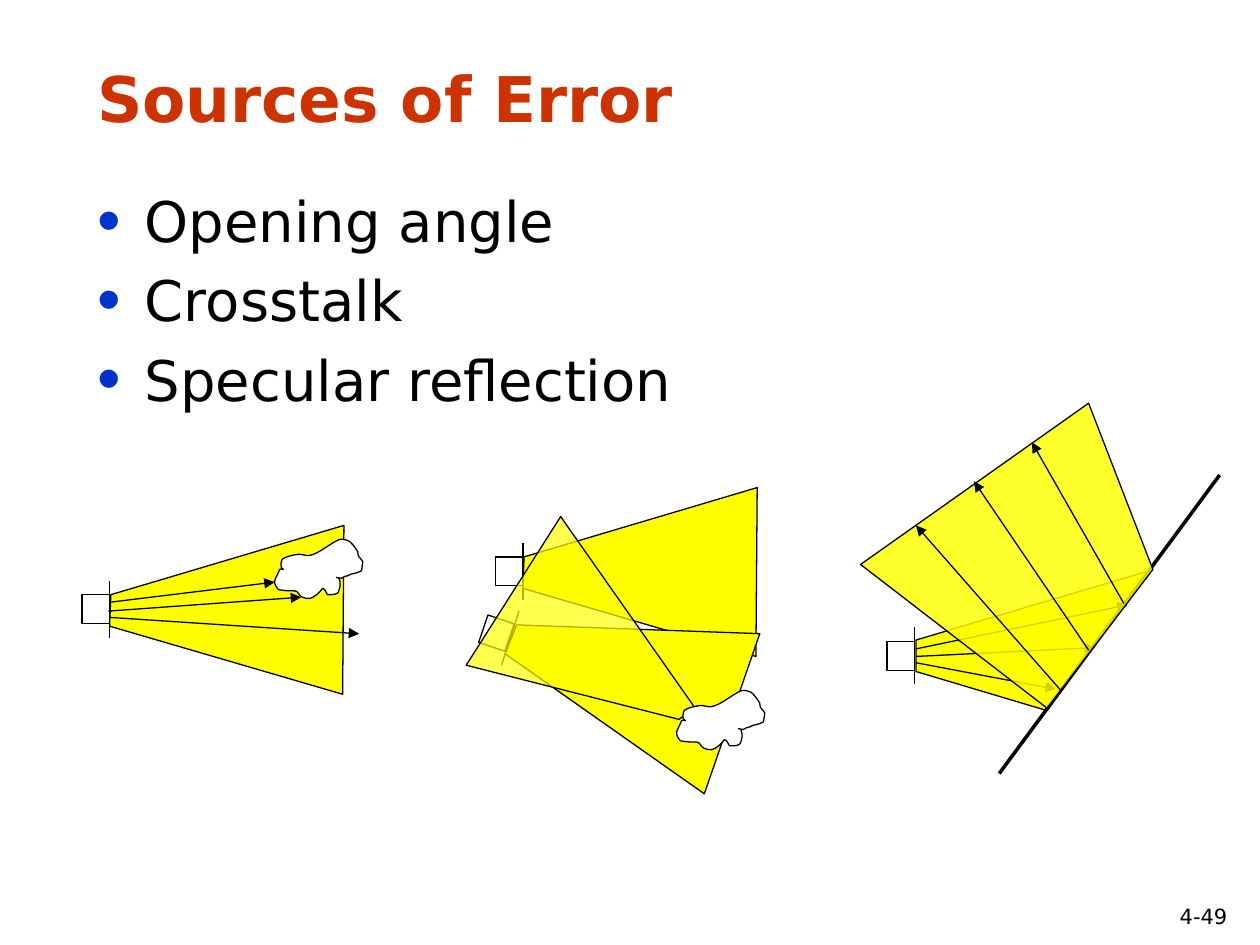
"""Builds the slide on the sources of error of a ranging sensor."""
from dataclasses import dataclass

from lxml.etree import SubElement
from pptx import Presentation
from pptx.dml.color import RGBColor
from pptx.enum.shapes import MSO_CONNECTOR as Connector, MSO_SHAPE as Shape
from pptx.enum.text import MSO_ANCHOR as Anchor, MSO_AUTO_SIZE as AutoSize, PP_ALIGN as Align
from pptx.oxml.ns import qn
from pptx.slide import Slide
from pptx.util import Inches, Pt

BLACK = RGBColor(0x00, 0x00, 0x00)
WHITE = RGBColor(0xFF, 0xFF, 0xFF)
RED = RGBColor(0xCC, 0x33, 0x00)
BLUE = RGBColor(0x00, 0x33, 0xCC)
YELLOW = RGBColor(0xFF, 0xFF, 0x00)

CONE = [(0.23, 0), (2.08, -0.55), (2.07, 0.79), (0.22, 0.25)]
CLOUD_START = (2.25, 4.52)
CLOUD_CURVES = [
    (2.22, 4.51, 2.23, 4.46, 2.24, 4.44), (2.26, 4.42, 2.34, 4.4, 2.38, 4.4),
    (2.4, 4.4, 2.42, 4.41, 2.45, 4.41), (2.53, 4.4, 2.62, 4.31, 2.7, 4.28),
    (2.72, 4.28, 2.74, 4.28, 2.76, 4.29), (2.78, 4.29, 2.83, 4.36, 2.84, 4.38),
    (2.84, 4.43, 2.86, 4.42, 2.88, 4.46), (2.87, 4.48, 2.88, 4.51, 2.87, 4.53),
    (2.86, 4.54, 2.84, 4.54, 2.82, 4.55), (2.8, 4.55, 2.78, 4.56, 2.76, 4.57),
    (2.74, 4.57, 2.73, 4.58, 2.71, 4.59), (2.64, 4.58, 2.68, 4.58, 2.69, 4.59),
    (2.7, 4.6, 2.7, 4.61, 2.7, 4.62), (2.7, 4.64, 2.7, 4.67, 2.69, 4.69),
    (2.69, 4.72, 2.63, 4.72, 2.63, 4.72), (2.62, 4.72, 2.61, 4.72, 2.6, 4.72),
    (2.58, 4.7, 2.59, 4.68, 2.56, 4.67), (2.54, 4.7, 2.5, 4.74, 2.46, 4.75),
    (2.44, 4.75, 2.42, 4.75, 2.4, 4.74), (2.37, 4.73, 2.37, 4.69, 2.34, 4.69),
    (2.3, 4.69, 2.26, 4.69, 2.21, 4.68), (2.19, 4.66, 2.18, 4.64, 2.18, 4.61),
    (2.19, 4.58, 2.21, 4.55, 2.22, 4.52), (2.23, 4.51, 2.24, 4.52, 2.25, 4.52),
]


def write(paragraph, text, *, font, size, color=BLACK, bold=False, align=Align.LEFT,
          spacing=1.0, before=0):
    """Put formatted text into a paragraph."""
    paragraph.alignment = align
    paragraph.line_spacing = spacing
    paragraph.space_before = Pt(before)
    run = paragraph.add_run()
    run.text = text
    run.font.name = font
    run.font.size = Pt(size)
    run.font.bold = bold
    run.font.color.rgb = color


def add_bullet(paragraph, indent):
    """Give a paragraph a large blue bullet with a hanging indent."""
    properties = paragraph._p.get_or_add_pPr()
    properties.set("marL", str(indent))
    properties.set("indent", str(-indent))
    color = SubElement(properties, qn("a:buClr"))
    SubElement(color, qn("a:srgbClr"), val=str(BLUE))
    SubElement(properties, qn("a:buSzPct"), val="120000")
    SubElement(properties, qn("a:buChar"), char="•")


@dataclass
class Sketch:
    """Holds the style and the slide being drawn."""
    slide: Slide
    font: str = "DejaVu Sans"
    line_width: float = 0.75

    def place(self, holder, left, top, width, height):
        holder.left, holder.top = Inches(left), Inches(top)
        holder.width, holder.height = Inches(width), Inches(height)
        frame = holder.text_frame
        frame.word_wrap = True
        frame.auto_size = AutoSize.NONE
        return frame

    def title(self, text):
        frame = self.place(self.slide.shapes.title, 0.67, 0.42, 9.21, 0.7)
        frame.vertical_anchor = Anchor.BOTTOM
        write(frame.paragraphs[0], text, font=self.font, size=36, color=RED, bold=True)

    def bullets(self, items):
        frame = self.place(self.slide.placeholders[1], 0.67, 1.43, 9.2, 5.25)
        for index, item in enumerate(items):
            paragraph = frame.add_paragraph() if index else frame.paragraphs[0]
            add_bullet(paragraph, Inches(0.38))
            write(paragraph, item, font=self.font, size=32, before=6.9 if index else 0)

    def page_number(self, text):
        box = self.slide.shapes.add_textbox(0, 0, 0, 0)
        frame = self.place(box, 8.81, 7.14, 1.03, 0.29)
        write(frame.paragraphs[0], text, font=self.font, size=12, align=Align.RIGHT, spacing=0.9)

    def outline(self, shape):
        shape.shadow.inherit = False
        shape.line.color.rgb = BLACK
        shape.line.width = Pt(self.line_width)

    def line(self, start, end, width=None, arrow=False):
        connector = self.slide.shapes.add_connector(
            Connector.STRAIGHT, *(Inches(value) for value in (*start, *end)))
        connector.line.color.rgb = BLACK
        connector.line.width = Pt(width or self.line_width)
        if arrow:
            SubElement(connector.line._get_or_add_ln(), qn("a:tailEnd"), type="triangle")
        SubElement(connector._element.spPr, qn("a:effectLst"))

    def arrows(self, *rays):
        for start, end in rays:
            self.line(start, end, arrow=True)

    def area(self, points, fill=YELLOW, opacity=100):
        corners = [(Inches(x), Inches(y)) for x, y in points]
        builder = self.slide.shapes.build_freeform(*corners[0])
        builder.add_line_segments(corners[1:], close=True)
        shape = builder.convert_to_shape()
        self.outline(shape)
        shape.fill.solid()
        shape.fill.fore_color.rgb = fill
        if opacity < 100:
            color = shape.fill._xPr.find(qn("a:solidFill"))[0]
            SubElement(color, qn("a:alpha"), val=str(opacity * 1000))
        return shape

    def sensor(self, left, top, rotation=0, plate=None):
        body = self.slide.shapes.add_shape(
            Shape.RECTANGLE, Inches(left), Inches(top), Inches(0.22), Inches(0.23))
        body.rotation = rotation
        body.fill.background()
        self.outline(body)
        edge = left + 0.22
        self.line(*(plate or ((edge, top - 0.11), (edge, top + 0.34))))

    def beaming_sensor(self, left, top):
        self.sensor(left, top)
        self.area([(left + x, top + y) for x, y in CONE])

    def cloud(self, shift_x=0, shift_y=0):
        ends = [CLOUD_START] + [curve[4:] for curve in CLOUD_CURVES]
        shape = self.area([(x + shift_x, y + shift_y) for x, y in ends], fill=WHITE)
        segments = list(shape._element.iter(qn("a:lnTo")))
        for segment, curve in zip(segments, CLOUD_CURVES):
            segment.tag = qn("a:cubicBezTo")
            end = segment[0]
            for x, y in (curve[:2], curve[2:4]):
                handle = SubElement(segment, qn("a:pt"))
                handle.set("x", str(Inches(x + shift_x) - shape.left))
                handle.set("y", str(Inches(y + shift_y) - shape.top))
            segment.append(end)


def main():
    deck = Presentation()
    deck.slide_width, deck.slide_height = Inches(10), Inches(7.5)
    sketch = Sketch(deck.slides.add_slide(deck.slide_layouts[1]))
    sketch.page_number("4-49")
    sketch.title("Sources of Error")
    sketch.bullets(["Opening angle", "Crosstalk", "Specular reflection"])

    sketch.beaming_sensor(0.65, 4.72)
    sketch.cloud()
    sketch.arrows(((0.87, 4.78), (2.18, 4.62)), ((0.86, 4.85), (2.39, 4.74)),
                  ((0.87, 4.9), (2.85, 5.03)))

    sketch.beaming_sensor(3.93, 4.42)
    sketch.sensor(3.83, 4.91, rotation=18.8, plate=((4.12, 4.85), (3.98, 5.28)))
    sketch.area([(4.1, 4.96), (6.03, 5.03), (5.59, 6.3), (4.01, 5.19)])
    sketch.area([(5.39, 5.71), (3.7, 5.28), (4.45, 4.1), (5.51, 5.61)], opacity=69)
    sketch.cloud(3.19, 1.2)

    sketch.sensor(7.04, 5.09)
    sketch.area([(7.27, 5.08), (9.12, 4.53), (8.31, 5.64), (7.27, 5.33)])
    sketch.arrows(((7.27, 5.15), (8.95, 4.8)), ((7.27, 5.21), (8.69, 5.14)),
                  ((7.27, 5.26), (8.38, 5.47)))
    sketch.line((7.93, 6.14), (9.68, 3.77), width=2)
    sketch.area([(8.31, 5.62), (6.83, 4.48), (8.64, 3.2), (9.15, 4.52)], opacity=83)
    sketch.arrows(((8.42, 5.48), (7.27, 4.17)), ((8.64, 5.16), (7.73, 3.82)),
                  ((8.92, 4.79), (8.19, 3.51)))
    deck.save("out.pptx")


if __name__ == "__main__":
    main()
